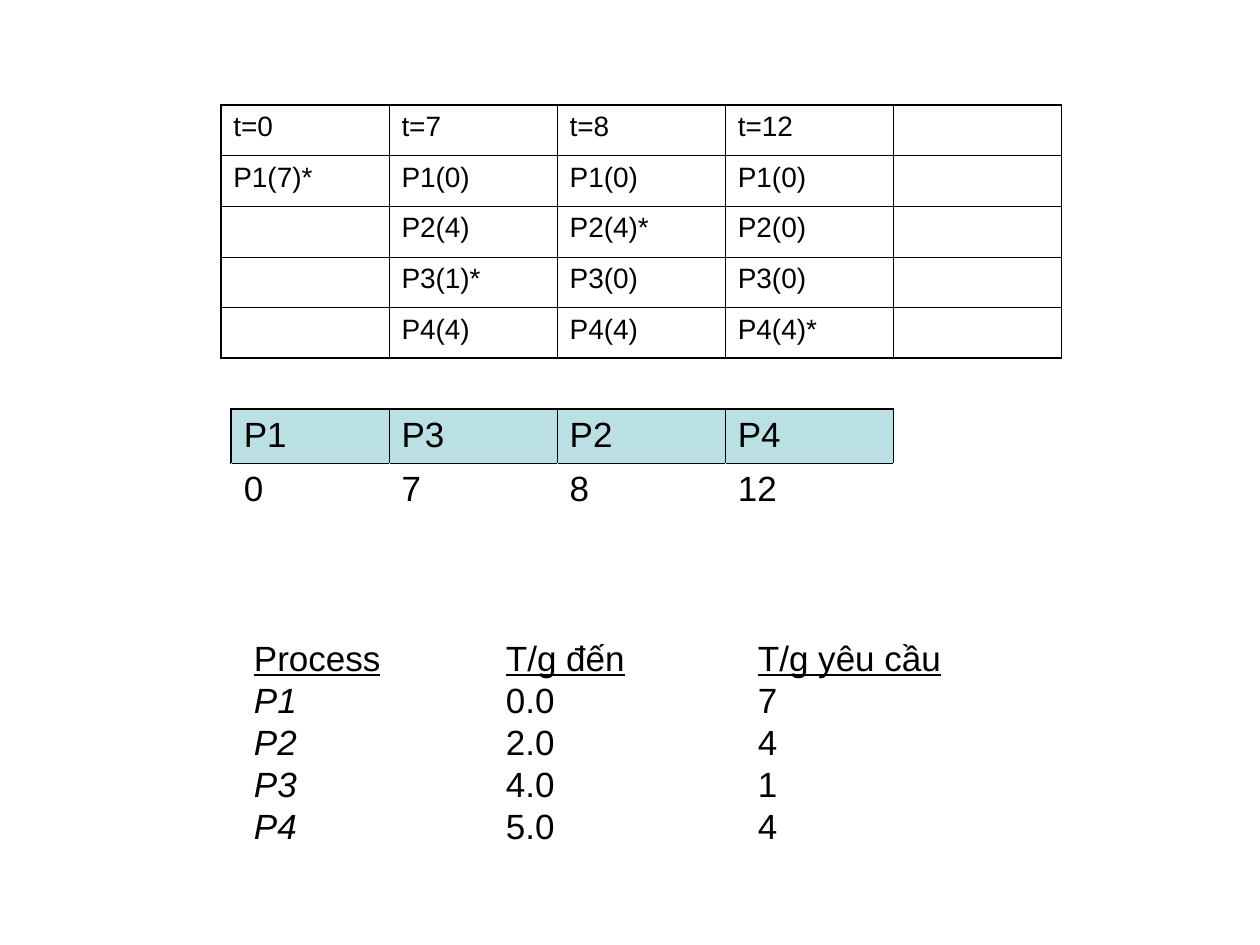
from dataclasses import dataclass
from typing import Callable

from lxml.etree import SubElement
from pptx import Presentation
from pptx.dml.color import RGBColor
from pptx.enum.text import MSO_AUTO_SIZE
from pptx.oxml.ns import qn
from pptx.util import Cm, Pt

BLACK = RGBColor(0x00, 0x00, 0x00)
WHITE = RGBColor(0xFF, 0xFF, 0xFF)
PALE_TEAL = RGBColor(0xBB, 0xE0, 0xE3)
FONT = "Arial"
THIN, THICK = Pt(0.45), Pt(1.08)
NO_STYLE = "{2D5ABB26-0587-4C30-8999-92F81FD0307C}"
COLUMN = 3.39

Border = tuple[RGBColor, int]
Borders = dict[str, Border]


@dataclass
class TableBlock:
    left: float
    top: float
    columns: list[float]
    row_height: float
    size: int
    rows: list[list[str]]
    borders: Callable[[int, int], Borders]
    filled_rows: int = 0


def queue_borders(row: int, column: int) -> Borders:
    """Thick outer frame, thin inner lines."""
    outer = {"L": column == 0, "R": column == 4, "T": row == 0, "B": row == 4}
    return {side: (BLACK, THICK if thick else THIN) for side, thick in outer.items()}


def gantt_borders(row: int, column: int) -> Borders:
    """Black lines around the four process cells, white lines elsewhere."""
    busy = column < 4
    if row == 0 and busy:
        left = THICK if column == 0 else THIN
        return {"L": (BLACK, left), "R": (BLACK, THIN),
                "T": (BLACK, THICK), "B": (BLACK, THIN)}
    borders = {side: (WHITE, THIN) for side in "LRTB"}
    if row == 0:
        borders["L"] = (BLACK, THIN)
    elif busy:
        borders["T"] = (BLACK, THIN)
    return borders


QUEUE = TableBlock(4.45, 2.12, [COLUMN] * 5, 1.02, 16, [
    ["t=0", "t=7", "t=8", "t=12", ""],
    ["P1(7)*", "P1(0)", "P1(0)", "P1(0)", ""],
    ["", "P2(4)", "P2(4)*", "P2(0)", ""],
    ["", "P3(1)*", "P3(0)", "P3(0)", ""],
    ["", "P4(4)", "P4(4)", "P4(4)*", ""],
], queue_borders)

GANTT = TableBlock(4.66, 8.25, [3.18, COLUMN, COLUMN, COLUMN, 3.6], 1.1, 20, [
    ["P1", "P3", "P2", "P4", ""],
    ["0", "7", "8", "12", ""],
], gantt_borders, filled_rows=1)

PROCESSES = [
    ("Process", "T/g đến", "T/g yêu cầu"),
    ("P1", "0.0", "7"),
    ("P2", "2.0", "4"),
    ("P3", "4.0", "1"),
    ("P4", "5.0", "4"),
]


def format_font(font, size: int) -> None:
    font.name = FONT
    font.size = Pt(size)
    font.color.rgb = BLACK


def set_borders(cell, borders: Borders) -> None:
    properties = cell._tc.get_or_add_tcPr()
    for side, (color, width) in borders.items():
        line = SubElement(properties, qn(f"a:ln{side}"), w=str(int(width)))
        fill = SubElement(line, qn("a:solidFill"))
        SubElement(fill, qn("a:srgbClr"), val=str(color))


def add_table(slide, block: TableBlock) -> None:
    height = block.row_height * len(block.rows)
    table = slide.shapes.add_table(
        len(block.rows), len(block.columns), Cm(block.left), Cm(block.top),
        Cm(sum(block.columns)), Cm(height)).table
    table.first_row = table.horz_banding = False
    table._tbl.tblPr.find(qn("a:tableStyleId")).text = NO_STYLE
    for column, width in zip(table.columns, block.columns):
        column.width = Cm(width)
    for r, texts in enumerate(block.rows):
        table.rows[r].height = Cm(block.row_height)
        for c, text in enumerate(texts):
            cell = table.cell(r, c)
            set_borders(cell, block.borders(r, c))
            if r < block.filled_rows and text:
                cell.fill.solid()
                cell.fill.fore_color.rgb = PALE_TEAL
            else:
                cell.fill.background()
            cell.text_frame.text = text
            format_font(cell.text_frame.paragraphs[0].font, block.size)
            for run in cell.text_frame.paragraphs[0].runs:
                format_font(run.font, block.size)


def add_tab_stops(paragraph, positions: list[float]) -> None:
    tabs = SubElement(paragraph._p.get_or_add_pPr(), qn("a:tabLst"))
    for position in positions:
        SubElement(tabs, qn("a:tab"), pos=str(int(Cm(position))), algn="l")


def add_process_list(slide) -> None:
    box = slide.shapes.add_textbox(Cm(4.87), Cm(12.7), Cm(16.51), Cm(4.49))
    frame = box.text_frame
    frame.word_wrap = True
    frame.auto_size = MSO_AUTO_SIZE.SHAPE_TO_FIT_TEXT
    for index, fields in enumerate(PROCESSES):
        paragraph = frame.add_paragraph() if index else frame.paragraphs[0]
        add_tab_stops(paragraph, [5.08, 10.16])
        paragraph.line_spacing = Pt(24)
        for position, field in enumerate(fields):
            if position:
                tab = paragraph.add_run()
                tab.text = "\t"
                format_font(tab.font, 20)
            run = paragraph.add_run()
            run.text = field
            format_font(run.font, 20)
            run.font.underline = index == 0
            run.font.italic = index > 0 and position == 0


def main() -> None:
    presentation = Presentation()
    presentation.slide_width, presentation.slide_height = Cm(25.4), Cm(19.05)
    slide = presentation.slides.add_slide(presentation.slide_layouts[6])
    for block in (QUEUE, GANTT):
        add_table(slide, block)
    add_process_list(slide)
    presentation.save("out.pptx")


if __name__ == "__main__":
    main()
